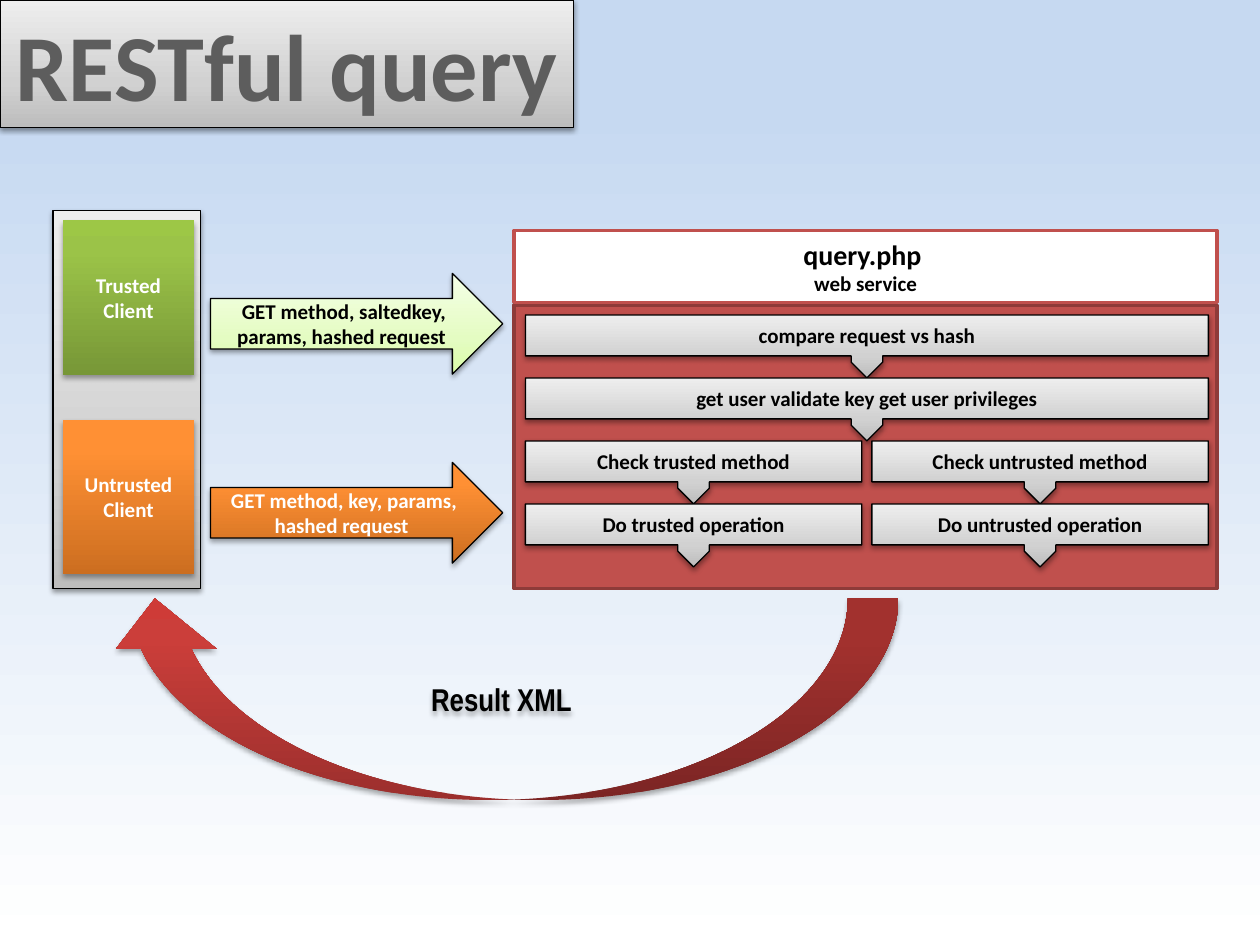
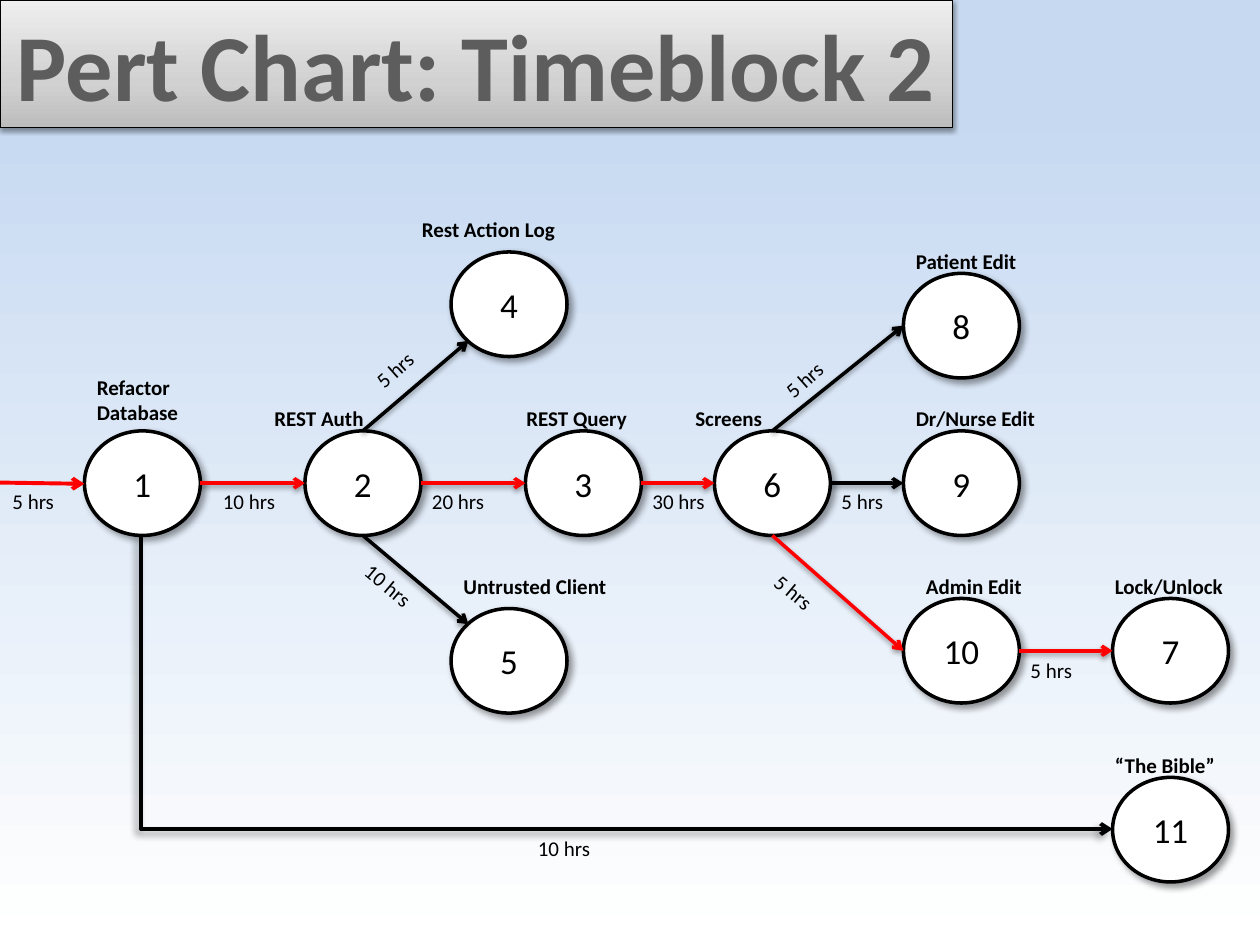
import pptx
import pptx.util
import pptx.dml.color
import pptx.enum.shapes
import pptx.enum.text
import pptx.oxml
import pptx.oxml.ns

Inches = pptx.util.Inches
Pt = pptx.util.Pt
SHAPES = pptx.enum.shapes.MSO_SHAPE
CONNECTORS = pptx.enum.shapes.MSO_CONNECTOR
ALIGN = pptx.enum.text.PP_ALIGN
ANCHOR = pptx.enum.text.MSO_ANCHOR
qn = pptx.oxml.ns.qn
NAMESPACE = pptx.oxml.ns.nsdecls("a")

COLOURS = {
    "black": "000000", "white": "FFFFFF", "title": "5D5D5D",
    "brick": "C0504D", "brick edge": "8E3B39", "critical": "FF0000",
}
# Gradient stops: (percent, colour)
GRADIENTS = {
    "sky": [(11, "C6D9F1"), (100, "FFFFFF")],
    "grey": [(0, "BDBDBD"), (35, "D1D1D1"), (100, "EEEEEE")],
    "green": [(0, "779737"), (80, "9BC348"), (100, "9DC746")],
    "orange": [(0, "CC6E20"), (80, "FF9034"), (100, "FF9136")],
    "lime": [(0, "DAFDA7"), (35, "E4FCC2"), (100, "F5FFE7")],
    "red": [(0, "9C2F2D"), (80, "CB3E3A"), (100, "CE3B37")],
}
# Shadows: opacity percent, blur points, distance points, direction degrees
SHADOWS = {"none": f"<a:effectLst {NAMESPACE}/>"}
for name, opacity, blur, distance, direction in [
    ("soft", 38, 3.1, 1.6, 90), ("strong", 35, 3.1, 1.8, 90),
    ("node", 40, 4, 3, 45), ("elbow", 40, 4, 3, 135),
]:
    SHADOWS[name] = (
        f'<a:effectLst {NAMESPACE}><a:outerShdw blurRad="{Pt(blur)}" dist="{Pt(distance)}" '
        f'dir="{direction * 60000}" rotWithShape="0"><a:srgbClr val="000000">'
        f'<a:alpha val="{opacity * 1000}"/></a:srgbClr></a:outerShdw></a:effectLst>'
    )


def fill_gradient(fill, owner, name, angle):
    """Give a fill the named gradient; owner is the XML element holding it."""
    fill.gradient()
    fill.gradient_angle = angle
    stop_list = next(owner.iter(qn("a:gsLst")))
    for stop in list(stop_list):
        stop_list.remove(stop)
    for percent, colour in GRADIENTS[name]:
        stop_list.append(pptx.oxml.parse_xml(
            f'<a:gs {NAMESPACE} pos="{percent * 1000}"><a:srgbClr val="{colour}"/></a:gs>'))


def add_block(slide, kind, box, text="", fill=None, line=None, width=0.75, shadow="none",
              size=12, colour="black", bold=True, font="Calibri"):
    """Add a shape, or a plain text box when kind is None, with formatted text."""
    box = [Inches(value) for value in box]
    if kind is None:
        shape = slide.shapes.add_textbox(*box)
    else:
        shape = slide.shapes.add_shape(kind, *box)
        if fill in GRADIENTS:
            fill_gradient(shape.fill, shape.element.spPr, fill, 90)
        else:
            shape.fill.solid()
            shape.fill.fore_color.rgb = pptx.dml.color.RGBColor.from_string(COLOURS[fill])
        if line:
            shape.line.color.rgb = pptx.dml.color.RGBColor.from_string(COLOURS[line])
            shape.line.width = Pt(width)
        else:
            shape.line.fill.background()
        shape.element.spPr.append(pptx.oxml.parse_xml(SHADOWS[shadow]))
    text_frame = shape.text_frame
    text_frame.word_wrap = True
    text_frame.vertical_anchor = ANCHOR.MIDDLE if kind else ANCHOR.TOP
    text_frame.text = text
    for paragraph in text_frame.paragraphs:
        paragraph.alignment = ALIGN.CENTER if kind else ALIGN.LEFT
        for run in paragraph.runs:
            run.font.size = Pt(size)
            run.font.bold = bold
            run.font.name = font
            run.font.color.rgb = pptx.dml.color.RGBColor.from_string(COLOURS[colour])
    return shape


presentation = pptx.Presentation()
presentation.slide_width = Inches(10)
presentation.slide_height = Inches(7.5)

slides = []
for title, title_width in [("RESTful query", 4.55), ("Pert Chart: Timeblock 2", 7.56)]:
    slide = presentation.slides.add_slide(presentation.slide_layouts[6])
    fill_gradient(slide.background.fill, slide.element, "sky", 270)
    banner = add_block(slide, SHAPES.RECTANGLE, (0, 0, title_width, 1.01), title, "grey",
                       "black", shadow="soft", size=54, colour="title")
    banner.text_frame.word_wrap = False
    slides.append(slide)
query_slide, pert_slide = slides

# Slide 1: clients, their requests and the web service
add_block(query_slide, SHAPES.RECTANGLE, (0.42, 1.67, 1.17, 3), "", "grey", "black", shadow="soft")
for top, text, fill in [(1.75, "Trusted Client", "green"), (3.33, "Untrusted Client", "orange")]:
    add_block(query_slide, SHAPES.RECTANGLE, (0.5, top, 1.04, 1.23), text, fill,
              shadow="strong", colour="white")
for top, text, fill, colour, shadow in [
    (2.17, "GET method, saltedkey, params, hashed request ", "lime", "black", "soft"),
    (3.67, "GET method, key, params, hashed request ", "orange", "white", "strong"),
]:
    add_block(query_slide, SHAPES.RIGHT_ARROW, (1.67, top, 2.32, 0.8), text, fill, "black",
              shadow=shadow, colour=colour)

add_block(query_slide, SHAPES.RECTANGLE, (4.08, 2.42, 5.58, 2.25), "", "brick", "brick edge", 2)
result_arrow = add_block(query_slide, SHAPES.CURVED_UP_ARROW, (0.83, 4.75, 6.3, 1.6),
                         "Result XML", "red", shadow="strong", size=18, font="Arial Narrow")
result_arrow.element.spPr.find(qn("a:xfrm")).set("flipH", "1")
result_run = result_arrow.text_frame.paragraphs[0].runs[0]
result_run.font.fill  # the text shadow follows the text colour
result_run.font._element.find(qn("a:solidFill")).addnext(
    pptx.oxml.parse_xml(SHADOWS["node"]))

service = add_block(query_slide, SHAPES.RECTANGLE, (4.08, 1.83, 5.58, 0.57),
                    "query.php \nweb service", "white", "brick", 2)
service.text_frame.paragraphs[0].runs[0].font.size = Pt(16)

service_steps = [
    ["compare request vs hash"],
    ["get user validate key get user privileges"],
    ["Check trusted method", "Check untrusted method"],
    ["Do trusted operation", "Do untrusted operation"],
]
for row, texts in enumerate(service_steps):
    step_width = 5.42 if len(texts) == 1 else 2.67
    for column, text in enumerate(texts):
        step = add_block(query_slide, SHAPES.DOWN_ARROW_CALLOUT,
                         (4.17 + 2.75 * column, 2.5 + 0.5 * row, step_width, 0.5),
                         text, "grey", "black", shadow="soft")
        for index, value in enumerate([0.5, 0.25, 0.25, 0.65]):
            step.adjustments[index] = value

# Slide 2: task network
NODE_WIDTH, NODE_HEIGHT = 0.92, 0.83
nodes = {
    1: (0.67, 3.42), 2: (2.42, 3.42), 3: (4.17, 3.42), 4: (3.58, 2), 5: (3.58, 4.83),
    6: (5.67, 3.42), 7: (8.83, 4.75), 8: (7.17, 2.17), 9: (7.17, 3.42),
    10: (7.17, 4.75), 11: (8.83, 6.17),
}
for number, (left, top) in nodes.items():
    add_block(pert_slide, SHAPES.OVAL, (left, top, NODE_WIDTH, NODE_HEIGHT), str(number),
              "white", "black", 2, "node", size=20, bold=False)

# Points on a node as fractions of its width and height
SIDES = {
    "left": (0, 0.5), "right": (1, 0.5), "top": (0.5, 0), "bottom": (0.5, 1),
    "upper left": (0.15, 0.15), "lower left": (0.15, 0.85),
}
edges = [
    (1, "right", 2, "left", "critical"), (2, "right", 3, "left", "critical"),
    (3, "right", 6, "left", "critical"), (6, "right", 9, "left", "black"),
    (2, "top", 4, "lower left", "black"), (2, "bottom", 5, "upper left", "black"),
    (6, "top", 8, "left", "black"), (6, "bottom", 10, "left", "critical"),
    (10, "right", 7, "left", "critical"),
]
connections = [(CONNECTORS.STRAIGHT, (0, 3.83, 0.67, 3.84), "critical", 2.25, "none")]
for start, start_side, end, end_side, colour in edges:
    points = []
    for number, side in [(start, start_side), (end, end_side)]:
        left, top = nodes[number]
        across, down = SIDES[side]
        points += [left + across * NODE_WIDTH, top + down * NODE_HEIGHT]
    connections.append((CONNECTORS.STRAIGHT, points, colour, 2, "soft"))
# The elbow is laid out upright and then turned by 270 degrees
connections.append((CONNECTORS.ELBOW, (6.14, 1.56, 3.81, 9.27), "black", 2.25, "elbow"))

for kind, points, colour, width, shadow in connections:
    connector = pert_slide.shapes.add_connector(kind, *[Inches(value) for value in points])
    connector.line.color.rgb = pptx.dml.color.RGBColor.from_string(COLOURS[colour])
    connector.line.width = Pt(width)
    properties = connector._element.spPr
    properties.find(qn("a:ln")).append(
        pptx.oxml.parse_xml(f'<a:tailEnd {NAMESPACE} type="arrow"/>'))
    properties.append(pptx.oxml.parse_xml(SHADOWS[shadow]))
    if kind == CONNECTORS.ELBOW:
        properties.find(qn("a:prstGeom")).set("prst", "bentConnector2")
        properties.find(qn("a:xfrm")).set("rot", str(270 * 60000))

task_names = [
    ("Refactor Database", 0.67, 2.92, 1), ("REST Auth", 2.08, 3.17, 2),
    ("REST Query", 4.08, 3.17, 1.5), ("Rest Action Log", 3.25, 1.67, 2.17),
    ("Untrusted Client", 3.58, 4.5, 1.75), ("Screens", 5.42, 3.17, 1.58),
    ("Patient Edit", 7.17, 1.92, 1.83), ("Dr/Nurse Edit", 7.17, 3.17, 2),
    ("Admin Edit", 7.25, 4.5, 1.08), ("Lock/Unlock", 8.75, 4.5, 1.08),
    ("“The Bible”", 8.75, 5.92, 1.25),
]
for text, left, top, width in task_names:
    add_block(pert_slide, None, (left, top, width, 0.3), text)

durations = [
    (5, 0, 3.83, 0), (10, 1.67, 3.83, 0), (20, 3.33, 3.83, 0), (30, 5.08, 3.83, 0),
    (5, 6.58, 3.83, 0), (5, 8.08, 5.17, 0), (10, 4.17, 6.58, 0),
    (5, 2.84, 2.71, 318.4), (5, 6.09, 2.79, 318.4),
    (10, 2.76, 4.54, 39.8), (5, 6.01, 4.62, 39.8),
]
for hours, left, top, rotation in durations:
    label = add_block(pert_slide, None, (left, top, 0.75, 0.3), f"{hours} hrs", bold=False)
    label.rotation = rotation

presentation.save("out.pptx")
